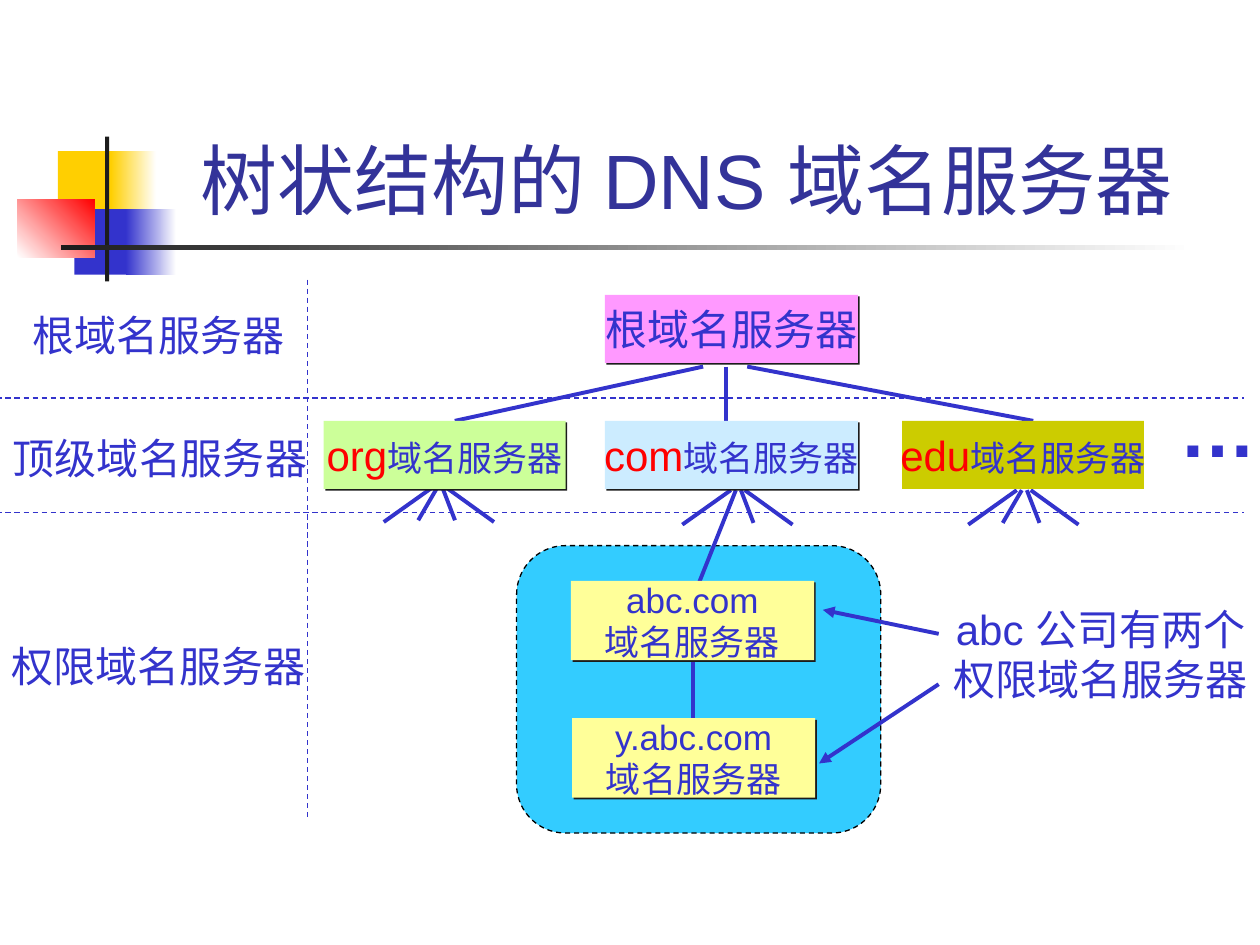
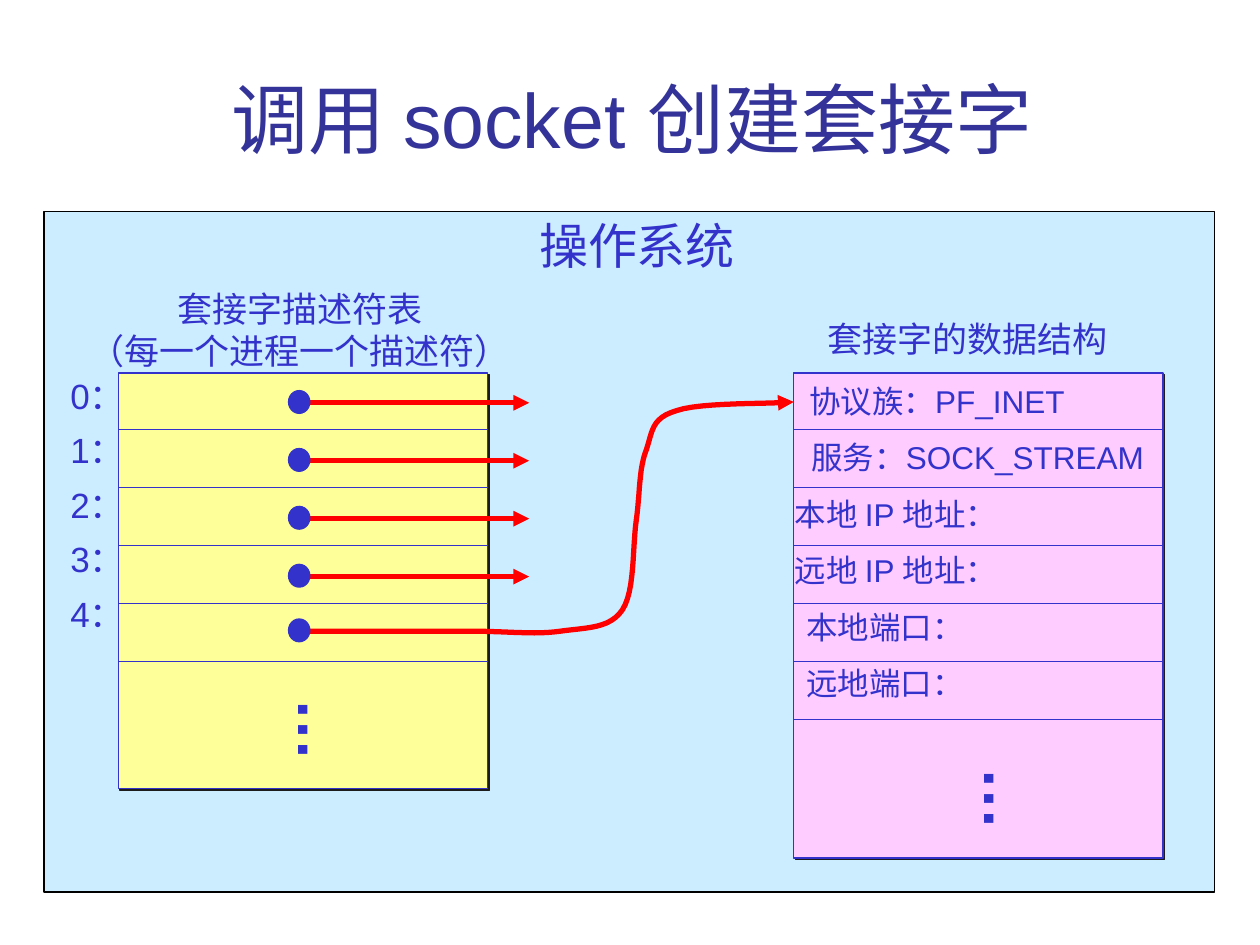
from dataclasses import dataclass
from typing import NamedTuple, Optional

import pptx
import pptx.dml.color
import pptx.enum.dml
import pptx.enum.shapes
import pptx.enum.text
import pptx.oxml
import pptx.oxml.ns
import pptx.util

Pt = pptx.util.Pt
RGBColor = pptx.dml.color.RGBColor
Preset = pptx.enum.shapes.MSO_SHAPE
Align = pptx.enum.text.PP_ALIGN
Anchor = pptx.enum.text.MSO_ANCHOR
AutoSize = pptx.enum.text.MSO_AUTO_SIZE

FONT = "Arial"
BLACK = RGBColor(0x00, 0x00, 0x00)
WHITE = RGBColor(0xFF, 0xFF, 0xFF)
CHARCOAL = RGBColor(0x1C, 0x1C, 0x1C)
NAVY = RGBColor(0x33, 0x33, 0x99)
BLUE = RGBColor(0x33, 0x33, 0xCC)
RED = RGBColor(0xFF, 0x00, 0x00)
GOLD = RGBColor(0xFF, 0xCF, 0x01)
CYAN = RGBColor(0x33, 0xCC, 0xFF)
PINK = RGBColor(0xFF, 0x99, 0xFF)
PALE_PINK = RGBColor(0xFF, 0xCC, 0xFF)
PALE_GREEN = RGBColor(0xCC, 0xFF, 0x99)
PALE_BLUE = RGBColor(0xCC, 0xEC, 0xFF)
PALE_YELLOW = RGBColor(0xFF, 0xFF, 0x99)
OLIVE = RGBColor(0xCC, 0xCC, 0x00)


class Area(NamedTuple):
    left: float
    top: float
    width: float
    height: float


class Point(NamedTuple):
    x: float
    y: float


@dataclass
class Server:
    area: Area
    fill: RGBColor
    text: str
    size: float = 20
    prefix: str = ""
    shadow: bool = True


@dataclass
class Label:
    area: Area
    text: str
    size: float = 24
    align: Align = Align.CENTER
    bold: bool = False
    spacing: Optional[float] = None
    rotation: float = 0


@dataclass
class Ornament:
    area: Area
    start: RGBColor
    end: Optional[RGBColor] = None
    angle: float = 0


ORNAMENTS = [
    Ornament(Area(33.1, 86.4, 34.6, 37.4), GOLD),
    Ornament(Area(63.4, 86.4, 25.9, 37.4), GOLD, WHITE),
    Ornament(Area(42.5, 119.5, 33.1, 37.4), BLUE),
    Ornament(Area(72, 119.5, 28.8, 37.4), BLUE, WHITE),
    Ornament(Area(10.1, 113.8, 43.9, 33.1), WHITE, RED, 45),
    Ornament(Area(60, 78, 2.4, 82.8), CHARCOAL),
    Ornament(Area(34.6, 140.2, 648, 2.5), CHARCOAL, WHITE),
]
SERVERS = [
    Server(Area(345.6, 168.5, 144.7, 38.9), PINK, "根域名服务器", 24),
    Server(Area(185, 240.5, 138.2, 38.9), PALE_GREEN, "域名服务器", prefix="org"),
    Server(Area(345.6, 240.5, 144.7, 38.9), PALE_BLUE, "域名服务器", prefix="com"),
    Server(Area(515.5, 240.5, 138.2, 38.9), OLIVE, "域名服务器", prefix="edu", shadow=False),
    Server(Area(326.9, 410.4, 139, 45.4), PALE_YELLOW, "y.abc.com\n域名服务器"),
    Server(Area(326.2, 331.9, 139, 45.4), PALE_YELLOW, "abc.com\n域名服务器"),
]
TREE_LABELS = [
    Label(Area(666.7, 213.8, 58.3, 60.5), "…", 44, Align.LEFT, bold=True),
    Label(Area(528.9, 341.3, 200, 64.8), "abc 公司有两个\n权限域名服务器"),
    Label(Area(11.5, 173.5, 158.4, 36), "根域名服务器"),
    Label(Area(0, 243.4, 182.9, 36), "顶级域名服务器"),
    Label(Area(-0.7, 362.2, 182.9, 36), "权限域名服务器"),
]
SOCKET_LABELS = [
    Label(Area(301, 119.5, 126, 41), "操作系统", 28),
    Label(Area(43.9, 160.6, 254.9, 55.4), "套接字描述符表\n（每一个进程一个描述符）", 20),
    Label(Area(452.9, 177.8, 200, 31.7), "套接字的数据结构", 20),
    Label(Area(33.1, 203, 50.4, 163.4), "0：\n1：\n2：\n3：\n4：", 20, Align.LEFT, spacing=1.3),
    Label(Area(159.8, 391.7, 50.4, 50.4), "…", 36, bold=True, rotation=90),
    Label(Area(551.5, 431.3, 50.4, 50.4), "…", 36, bold=True, rotation=90),
]
FIELDS = [
    ("协议族：PF_INET", 452.9, 164.9, Align.CENTER),
    ("服务：SOCK_STREAM", 454.3, 208.8, Align.CENTER),
    ("本地 IP 地址：", 447.1, 144, Align.LEFT),
    ("远地 IP 地址：", 447.1, 144, Align.LEFT),
    ("本地端口：", 453.6, 104.4, Align.LEFT),
    ("远地端口：", 453.6, 104.4, Align.LEFT),
]
CURVE_START = Point(169.9, 360.7)
CURVE_BEND = Point(266.4, 360.7)
CURVES = [
    (Point(291.6, 360.7), Point(305.3, 362.9), Point(320.4, 360.7)),
    (Point(335.5, 358.6), Point(348.5, 359.3), Point(355.7, 348.5)),
    (Point(362.9, 337.7), Point(361.4, 312.5), Point(363.6, 297.4)),
    (Point(365.8, 282.2), Point(365, 267.8), Point(369.4, 257)),
    (Point(373, 246.2), Point(372.2, 239), Point(386.6, 234.7)),
    (Point(401, 229.7), Point(439.9, 231.1), Point(453.6, 229.7)),
]
ROW_PITCH = 33.1


def write_text(frame, text: str, *, size: float, color: RGBColor = BLUE, bold: bool = False,
               align: Align = Align.CENTER, anchor: Anchor = Anchor.TOP, wrap: bool = False,
               grow: bool = False, spacing: Optional[float] = None, prefix: str = "") -> None:
    frame.word_wrap = wrap
    frame.auto_size = AutoSize.SHAPE_TO_FIT_TEXT if grow else AutoSize.NONE
    frame.vertical_anchor = anchor
    for index, line in enumerate(text.split("\n")):
        paragraph = frame.add_paragraph() if index else frame.paragraphs[0]
        paragraph.alignment = align
        if spacing:
            paragraph.line_spacing = spacing
        for content, points, ink in ((prefix, 24, RED), (line, size, color)):
            if content:
                run = paragraph.add_run()
                run.text = content
                run.font.name = FONT
                run.font.size = Pt(points)
                run.font.bold = bold
                run.font.color.rgb = ink


def place(area: Area) -> list[int]:
    return [Pt(length) for length in area]


def add_box(slide, area: Area, fill: RGBColor, *, preset: Preset = Preset.RECTANGLE,
            line: Optional[RGBColor] = None, dashed: bool = False, shadow: bool = False):
    shape = slide.shapes.add_shape(preset, *place(area))
    shape.fill.solid()
    shape.fill.fore_color.rgb = fill
    if line is None:
        shape.line.fill.background()
    else:
        style_line(shape.line, line, 0.75, dashed)
    shape.shadow.inherit = False
    if shadow:
        effects = shape._element.spPr.find(pptx.oxml.ns.qn("a:effectLst"))
        effects.append(pptx.oxml.parse_xml(
            f'<a:outerShdw {pptx.oxml.ns.nsdecls("a")} blurRad="0" dist="{Pt(1.4)}" '
            f'dir="2700000" algn="ctr" rotWithShape="0"><a:srgbClr val="{CHARCOAL}"/></a:outerShdw>'))
    return shape


def style_line(line, color: RGBColor, width: float, dashed: bool = False, arrow: bool = False) -> None:
    line.color.rgb = color
    line.width = Pt(width)
    if dashed:
        line.dash_style = pptx.enum.dml.MSO_LINE.DASH
    if arrow:
        line._get_or_add_ln().append(pptx.oxml.parse_xml(
            f'<a:tailEnd {pptx.oxml.ns.nsdecls("a")} type="triangle"/>'))


def add_line(slide, start: Point, end: Point, *, color: RGBColor = BLUE, width: float = 2.25,
             dashed: bool = False, arrow: bool = False) -> None:
    connector = slide.shapes.add_connector(
        pptx.enum.shapes.MSO_CONNECTOR.STRAIGHT, *place(start), *place(end))
    style_line(connector.line, color, width, dashed, arrow)
    connector._element.spPr.append(pptx.oxml.parse_xml(
        f'<a:effectLst {pptx.oxml.ns.nsdecls("a")}/>'))


def add_label(slide, label: Label) -> None:
    box = slide.shapes.add_textbox(*place(label.area))
    box.rotation = label.rotation
    write_text(box.text_frame, label.text, size=label.size, align=label.align,
               bold=label.bold, spacing=label.spacing, grow=True)


def add_title(slide, area: Area, text: str) -> None:
    box = slide.shapes.add_textbox(*place(area))
    write_text(box.text_frame, text, size=44, color=NAVY, anchor=Anchor.BOTTOM, wrap=True)


def add_ornament(slide, ornament: Ornament) -> None:
    shape = add_box(slide, ornament.area, ornament.start)
    if ornament.end is not None:
        shape.fill.gradient()
        shape.fill.gradient_angle = ornament.angle
        for stop, color in zip(shape.fill.gradient_stops, (ornament.start, ornament.end)):
            stop.color.rgb = color


def add_server(slide, server: Server) -> None:
    shape = add_box(slide, server.area, server.fill, shadow=server.shadow)
    write_text(shape.text_frame, server.text, size=server.size, prefix=server.prefix,
               anchor=Anchor.MIDDLE)


def add_branches(slide, origin: Point, child: Optional[Point] = None) -> None:
    for offset, reach, drop in ((0, -27.7, 19.7), (2.9, -8, 18.7), (5.8, 13, 18.7), (8, 35.3, 19.7)):
        end = Point(origin.x + reach, origin.y + drop)
        if child and offset == 2.9:
            end = child
        add_line(slide, Point(origin.x + offset, origin.y), end)


def add_rows(slide, area: Area, fill: RGBColor, dividers: int) -> None:
    add_box(slide, area, fill, line=BLUE, shadow=True)
    for index in range(dividers):
        y = 245.5 + ROW_PITCH * index
        add_line(slide, Point(area.left, y), Point(area.left + area.width, y), width=0.75)


def add_pointer_curve(slide) -> None:
    points = [CURVE_BEND]
    for first, second, end in CURVES:
        start = points[-1]
        for step in range(1, 13):
            t = step / 12
            weights = ((1 - t) ** 3, 3 * t * (1 - t) ** 2, 3 * t ** 2 * (1 - t), t ** 3)
            corners = (start, first, second, end)
            points.append(Point(sum(w * p.x for w, p in zip(weights, corners)),
                                sum(w * p.y for w, p in zip(weights, corners))))
    builder = slide.shapes.build_freeform(*place(CURVE_START))
    builder.add_line_segments([tuple(place(point)) for point in points], close=False)
    curve = builder.convert_to_shape()
    curve.fill.background()
    curve.shadow.inherit = False
    style_line(curve.line, RED, 3, arrow=True)


def build_name_server_tree(slide) -> None:
    for ornament in ORNAMENTS:
        add_ornament(slide, ornament)
    cluster = add_box(slide, Area(295.2, 311.8, 208.1, 164.2), CYAN,
                      preset=Preset.ROUNDED_RECTANGLE, line=BLACK, dashed=True)
    cluster.adjustments[0] = 0.17
    add_title(slide, Area(90.7, 16.6, 613.4, 115.2), "树状结构的 DNS 域名服务器 ")
    for parent_x, child_x in ((401.8, 259.9), (414.7, 414.7), (427, 590.4)):
        add_line(slide, Point(parent_x, 209.5), Point(child_x, 240.5))
    add_branches(slide, Point(247, 278.6))
    add_branches(slide, Point(417.6, 280.1), child=Point(399.6, 332.6))
    add_branches(slide, Point(581, 280.1))
    add_line(slide, Point(396, 371.5), Point(396, 410.4))
    for server in SERVERS:
        add_server(slide, server)
    add_line(slide, Point(536.4, 362.2), Point(470.2, 348.5), arrow=True)
    add_line(slide, Point(536.4, 391), Point(468, 436.3), arrow=True)
    for y in (227.5, 293):
        add_line(slide, Point(-7.2, y), Point(710.6, y), width=0.75, dashed=True)
    add_line(slide, Point(175.7, 159.8), Point(175.7, 467.3), width=0.75, dashed=True)
    for label in TREE_LABELS:
        add_label(slide, label)


def build_socket_creation(slide) -> None:
    add_box(slide, Area(25.2, 121, 668.9, 388.8), PALE_BLUE, line=BLACK)
    add_rows(slide, Area(67.7, 213.1, 211, 237.6), PALE_YELLOW, 5)
    add_rows(slide, Area(453.6, 213.1, 211, 277.2), PALE_PINK, 6)
    for label in SOCKET_LABELS:
        add_label(slide, label)
    for index, (text, left, width, align) in enumerate(FIELDS):
        add_label(slide, Label(Area(left, 214.6 + 32.3 * index, width, 28.8), text, 18, align))
    arrow_tops = [230.2 + ROW_PITCH * index for index in range(4)]
    for y in arrow_tops:
        add_line(slide, Point(169.9, y), Point(302.4, y), color=RED, width=3, arrow=True)
    add_pointer_curve(slide)
    for y in (*arrow_tops, CURVE_START.y):
        add_box(slide, Area(164.9, y - 7, 12.2, 13), BLUE, preset=Preset.OVAL, line=BLUE)
    add_title(slide, Area(67.7, 20.2, 596.9, 77), "调用 socket 创建套接字 ")


def main() -> None:
    presentation = pptx.Presentation()
    presentation.slide_width = Pt(720)
    presentation.slide_height = Pt(540)
    for build in (build_name_server_tree, build_socket_creation):
        build(presentation.slides.add_slide(presentation.slide_layouts[6]))
    presentation.save("out.pptx")


if __name__ == "__main__":
    main()
